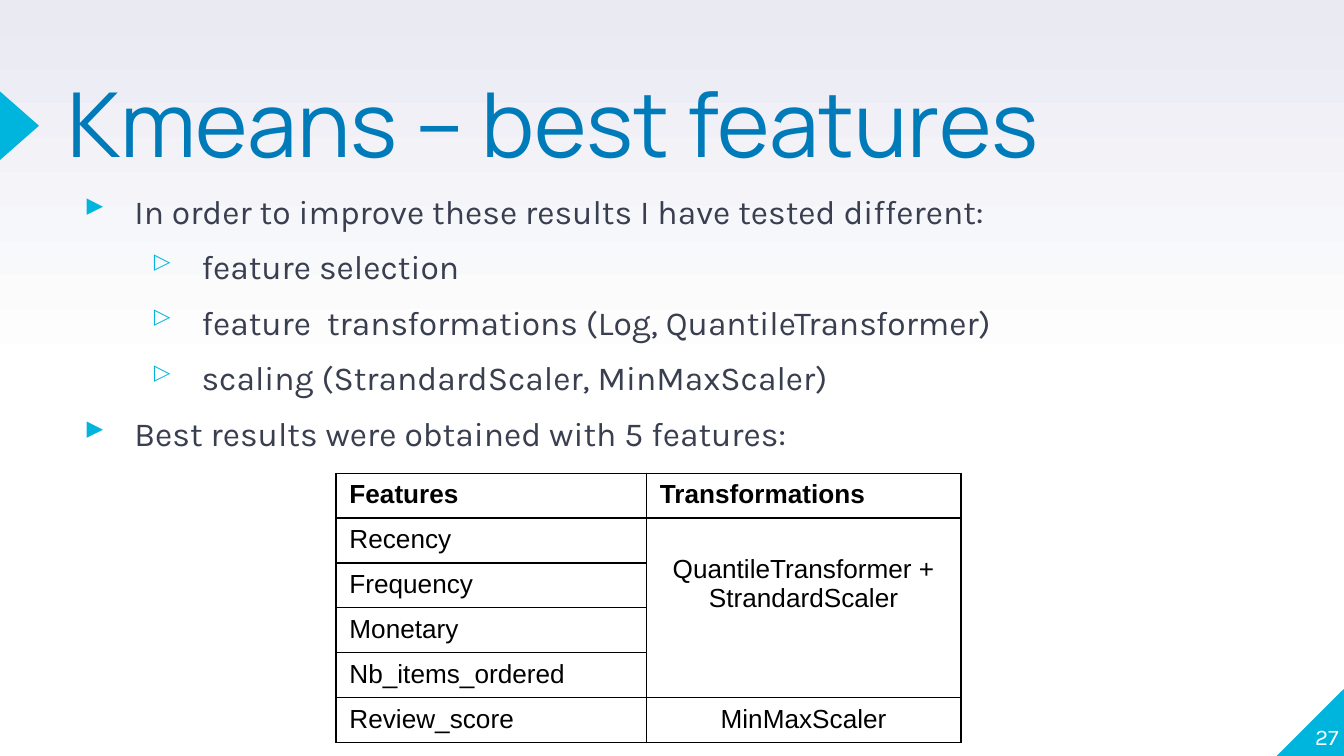
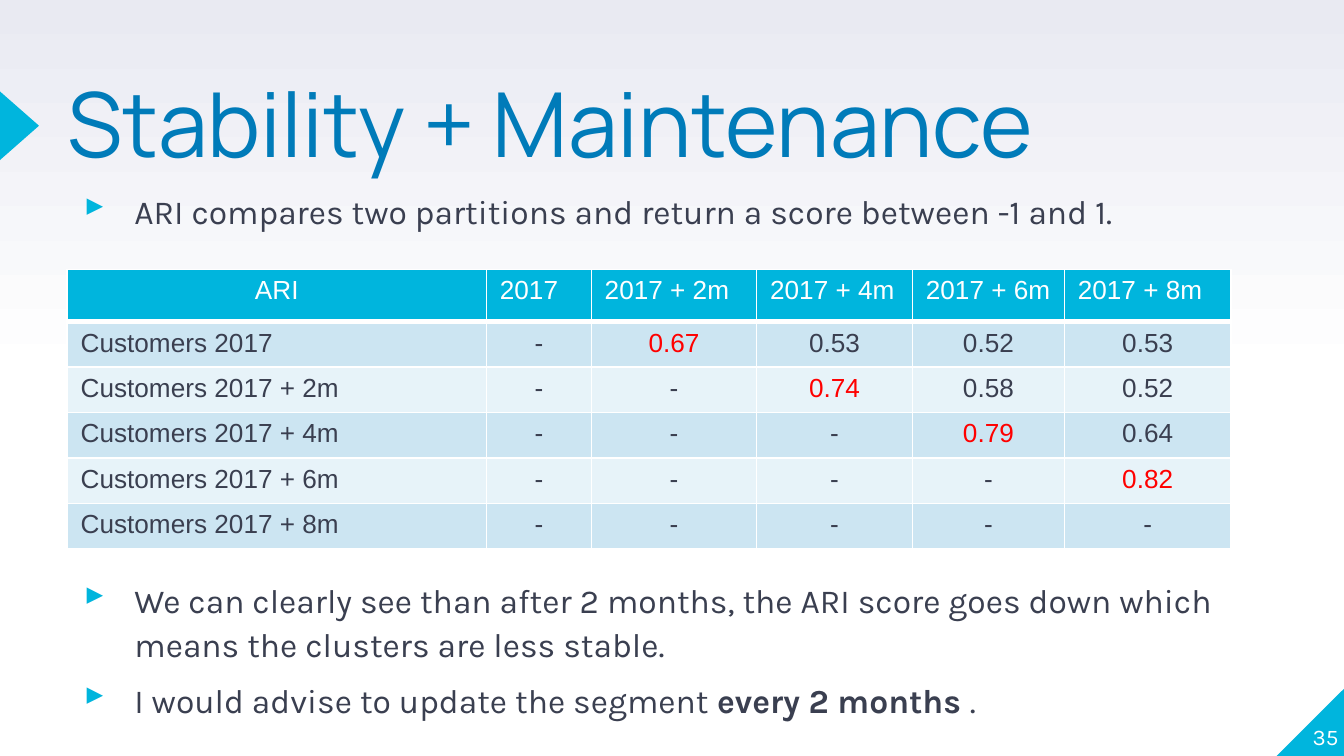
from dataclasses import dataclass, field
from typing import NamedTuple

from lxml.etree import SubElement
from pptx import Presentation
from pptx.dml.color import RGBColor
from pptx.enum.shapes import MSO_SHAPE
from pptx.enum.text import MSO_ANCHOR, PP_ALIGN
from pptx.oxml.ns import qn
from pptx.shapes.autoshape import Shape
from pptx.slide import Slide
from pptx.table import _Cell
from pptx.text.text import TextFrame, _Paragraph
from pptx.util import Pt

TRIANGLE = MSO_SHAPE.ISOSCELES_TRIANGLE
CORNER = MSO_SHAPE.RIGHT_TRIANGLE
LEFT, CENTER, RIGHT = PP_ALIGN.LEFT, PP_ALIGN.CENTER, PP_ALIGN.RIGHT
TOP, BOTTOM = MSO_ANCHOR.TOP, MSO_ANCHOR.BOTTOM


@dataclass(frozen=True)
class Theme:
    accent: str = "00B5DD"
    title: str = "007BB9"
    body: str = "3A3F50"
    white: str = "FFFFFF"
    black: str = "000000"
    highlight: str = "FF0000"
    bands: tuple[str, str] = ("CCE5F2", "E7F3F9")
    background: tuple[tuple[int, str], ...] = ((0, "FFFFFF"), (50, "FFFFFF"), (100, "E9EAF2"))
    title_font: str = "Manrope"
    body_font: str = "Karla"
    table_font: str = "Arial"
    title_size: float = 48
    body_size: float = 18
    table_size: float = 14
    number_size: float = 12


THEME = Theme()


class Box(NamedTuple):
    left: float
    top: float
    width: float
    height: float

    def points(self) -> list[Pt]:
        return [Pt(value) for value in self]


class Bullet(NamedTuple):
    """One bulleted paragraph; every second text is bold."""
    texts: tuple[str, ...]
    level: int = 0


@dataclass
class CellSpec:
    text: str
    color: str = THEME.black
    align: PP_ALIGN = LEFT
    bold: bool = False
    fill: str | None = None
    row_span: int = 1
    margin_top: float = 3.6
    border_color: str = THEME.black
    border_width: float = 0.75
    bottom_width: float | None = None


@dataclass
class TableSpec:
    box: Box
    column_widths: list[float]
    row_heights: list[float]
    rows: list[list[CellSpec | None]] = field(default_factory=list)


TITLE_BOX = Box(36, 47.5, 597.6, 85)
NUMBER_BOX = Box(681.1, 365, 36, 36.7)
CORNER_BOX = Box(684, 368.3, 36.7, 36.7)
ARROW_BOX = Box(-7.9, 56.9, 36.7, 20.9)
BULLET_MARKS = ("▸", "▹")
BULLET_STEP, BULLET_HANG = 36, 27


def rgb(color: str) -> RGBColor:
    return RGBColor.from_string(color)


def format_runs(paragraph: _Paragraph, font: str, size: float, color: str, bold: bool = False) -> None:
    for run in paragraph.runs:
        run.font.name = font
        run.font.size = Pt(size)
        run.font.color.rgb = rgb(color)
        run.font.bold = bold


def add_text_frame(slide: Slide, box: Box, anchor: MSO_ANCHOR = TOP) -> TextFrame:
    text_frame = slide.shapes.add_textbox(*box.points()).text_frame
    text_frame.word_wrap = True
    text_frame.vertical_anchor = anchor
    text_frame.margin_left = text_frame.margin_right = 0
    text_frame.margin_top = text_frame.margin_bottom = 0
    return text_frame


def add_accent_shape(slide: Slide, kind: MSO_SHAPE, box: Box) -> Shape:
    shape = slide.shapes.add_shape(kind, *box.points())
    shape.shadow.inherit = False
    shape.fill.solid()
    shape.fill.fore_color.rgb = rgb(THEME.accent)
    shape.line.fill.background()
    return shape


def set_background(slide: Slide) -> None:
    fill = slide.background.fill
    fill.gradient()
    fill.gradient_angle = 90
    stops = next(slide.element.iter(qn("a:gsLst")))
    stops.clear()
    for percent, color in THEME.background:
        stop = SubElement(stops, qn("a:gs"), pos=str(percent * 1000))
        SubElement(stop, qn("a:srgbClr"), val=color)


def add_base_slide(presentation: Presentation, title: str, number: int) -> Slide:
    """Add a slide with the shared background, accents, title and number."""
    slide = presentation.slides.add_slide(presentation.slide_layouts[6])
    set_background(slide)
    corner = add_accent_shape(slide, CORNER, CORNER_BOX)
    corner.element.spPr.find(qn("a:xfrm")).set("flipH", "1")
    add_accent_shape(slide, TRIANGLE, ARROW_BOX).rotation = 90

    heading = add_text_frame(slide, TITLE_BOX).paragraphs[0]
    heading.text = title
    heading.line_spacing = 0.8
    format_runs(heading, THEME.title_font, THEME.title_size, THEME.title)

    page = add_text_frame(slide, NUMBER_BOX, BOTTOM).paragraphs[0]
    page.text = str(number)
    page.alignment = RIGHT
    format_runs(page, THEME.body_font, THEME.number_size, THEME.white)
    return slide


def set_bullet(paragraph: _Paragraph, level: int) -> None:
    paragraph.level = level
    properties = paragraph._p.get_or_add_pPr()
    properties.set("marL", str(Pt(BULLET_STEP * (level + 1))))
    properties.set("indent", str(Pt(-BULLET_HANG)))
    color = SubElement(properties, qn("a:buClr"))
    SubElement(color, qn("a:srgbClr"), val=THEME.accent)
    SubElement(properties, qn("a:buChar"), char=BULLET_MARKS[level])


def add_bullets(slide: Slide, box: Box, bullets: list[Bullet]) -> None:
    text_frame = add_text_frame(slide, box)
    for index, bullet in enumerate(bullets):
        paragraph = text_frame.add_paragraph() if index else text_frame.paragraphs[0]
        for text in bullet.texts:
            paragraph.add_run().text = text
        paragraph.line_spacing = 1.1
        paragraph.space_before = Pt(6)
        set_bullet(paragraph, bullet.level)
        format_runs(paragraph, THEME.body_font, THEME.body_size, THEME.body)
        for run in paragraph.runs[1::2]:
            run.font.bold = True


def set_borders(cell: _Cell, spec: CellSpec) -> None:
    properties = cell._tc.get_or_add_tcPr()
    for index, side in enumerate(("lnL", "lnR", "lnT", "lnB")):
        width = spec.border_width
        if side == "lnB" and spec.bottom_width:
            width = spec.bottom_width
        line = SubElement(properties, qn(f"a:{side}"), w=str(Pt(width)))
        fill = SubElement(line, qn("a:solidFill"))
        SubElement(fill, qn("a:srgbClr"), val=spec.border_color)
        properties.insert(index, line)


def fill_cell(cell: _Cell, spec: CellSpec) -> None:
    cell.margin_top = Pt(spec.margin_top)
    paragraph = cell.text_frame.paragraphs[0]
    paragraph.text = spec.text
    paragraph.alignment = spec.align
    format_runs(paragraph, THEME.table_font, THEME.table_size, spec.color, spec.bold)


def style_cell(cell: _Cell, spec: CellSpec) -> None:
    if spec.fill:
        cell.fill.solid()
        cell.fill.fore_color.rgb = rgb(spec.fill)
    else:
        cell.fill.background()
    set_borders(cell, spec)


def add_table(slide: Slide, spec: TableSpec) -> None:
    """Draw a table; None marks a cell covered by the span above it."""
    table = slide.shapes.add_table(
        len(spec.row_heights), len(spec.column_widths), *spec.box.points()
    ).table
    table.first_row = table.horz_banding = False
    for column, width in zip(table.columns, spec.column_widths):
        column.width = Pt(width)
    for row, height in zip(table.rows, spec.row_heights):
        row.height = Pt(height)
    for row_index, row_specs in enumerate(spec.rows):
        for column_index, cell_spec in enumerate(row_specs):
            if cell_spec is None:
                continue
            cell = table.cell(row_index, column_index)
            last_row = row_index + cell_spec.row_span - 1
            if cell_spec.row_span > 1:
                cell.merge(table.cell(last_row, column_index))
            fill_cell(cell, cell_spec)
            for covered_row in range(row_index, last_row + 1):
                style_cell(table.cell(covered_row, column_index), cell_spec)


def feature_table() -> TableSpec:
    features = ["Recency", "Frequency", "Monetary", "Nb_items_ordered", "Review_score"]
    quantile = CellSpec("QuantileTransformer + StrandardScaler", align=CENTER,
                        row_span=4, margin_top=19.7)
    transformations = [quantile, None, None, None, CellSpec("MinMaxScaler", align=CENTER)]
    rows = [[CellSpec(text, bold=True) for text in ("Features", "Transformations")]]
    rows += [[CellSpec(name), cell] for name, cell in zip(features, transformations)]
    return TableSpec(Box(180, 253.5, 334.8, 129.6), [166.3, 168.5], [21.6] * 6, rows)


def stability_table() -> TableSpec:
    periods = ["2017"] + [f"2017 + {months}m" for months in (2, 4, 6, 8)]
    scores = [
        ["0.67", "0.53", "0.52", "0.53"],
        ["0.74", "0.58", "0.52"],
        ["0.79", "0.64"],
        ["0.82"],
        [],
    ]
    border = {"border_color": THEME.white, "border_width": 1}
    rows = [[
        CellSpec(text, THEME.white, CENTER if text == "ARI" else LEFT,
                 fill=THEME.accent, bottom_width=3, **border)
        for text in ["ARI", *periods]
    ]]
    for index, (period, values) in enumerate(zip(periods, scores)):
        band = THEME.bands[index % 2]
        row = [CellSpec(f"Customers {period}", THEME.body, fill=band, **border)]
        for column, text in enumerate(["-"] * (index + 1) + values):
            color = THEME.highlight if column == index + 1 else THEME.body
            row.append(CellSpec(text, color, CENTER, fill=band, **border))
        rows.append(row)
    return TableSpec(Box(36, 144.3, 623.6, 149.8), [224.6, 56.2, 88.6, 83.5, 81.4, 89.3],
                     [28] + [24.36] * 5, rows)


def add_features_slide(presentation: Presentation) -> None:
    slide = add_base_slide(presentation, "Kmeans – best features", 27)
    add_bullets(slide, Box(36, 100, 586, 284), [
        Bullet(("In order to improve these results I have tested different:",)),
        Bullet(("feature selection",), 1),
        Bullet(("feature  transformations (Log, QuantileTransformer)",), 1),
        Bullet(("scaling (StrandardScaler, MinMaxScaler)",), 1),
        Bullet(("Best results were obtained with 5 features:",)),
    ])
    add_table(slide, feature_table())


def add_stability_slide(presentation: Presentation) -> None:
    slide = add_base_slide(presentation, "Stability + Maintenance", 35)
    add_bullets(slide, Box(36, 100, 645, 30), [
        Bullet(("ARI compares two partitions and return a score between -1 and 1.",)),
    ])
    add_bullets(slide, Box(36, 308.4, 645, 80), [
        Bullet(("We can clearly see than after 2 months, the ARI score goes down which "
                "means the clusters are less stable.",)),
        Bullet(("I would advise to update the segment ", "every 2 months ", ".")),
    ])
    add_table(slide, stability_table())


def main() -> None:
    presentation = Presentation()
    presentation.slide_width, presentation.slide_height = Pt(720), Pt(405)
    add_features_slide(presentation)
    add_stability_slide(presentation)
    presentation.save("out.pptx")


if __name__ == "__main__":
    main()
